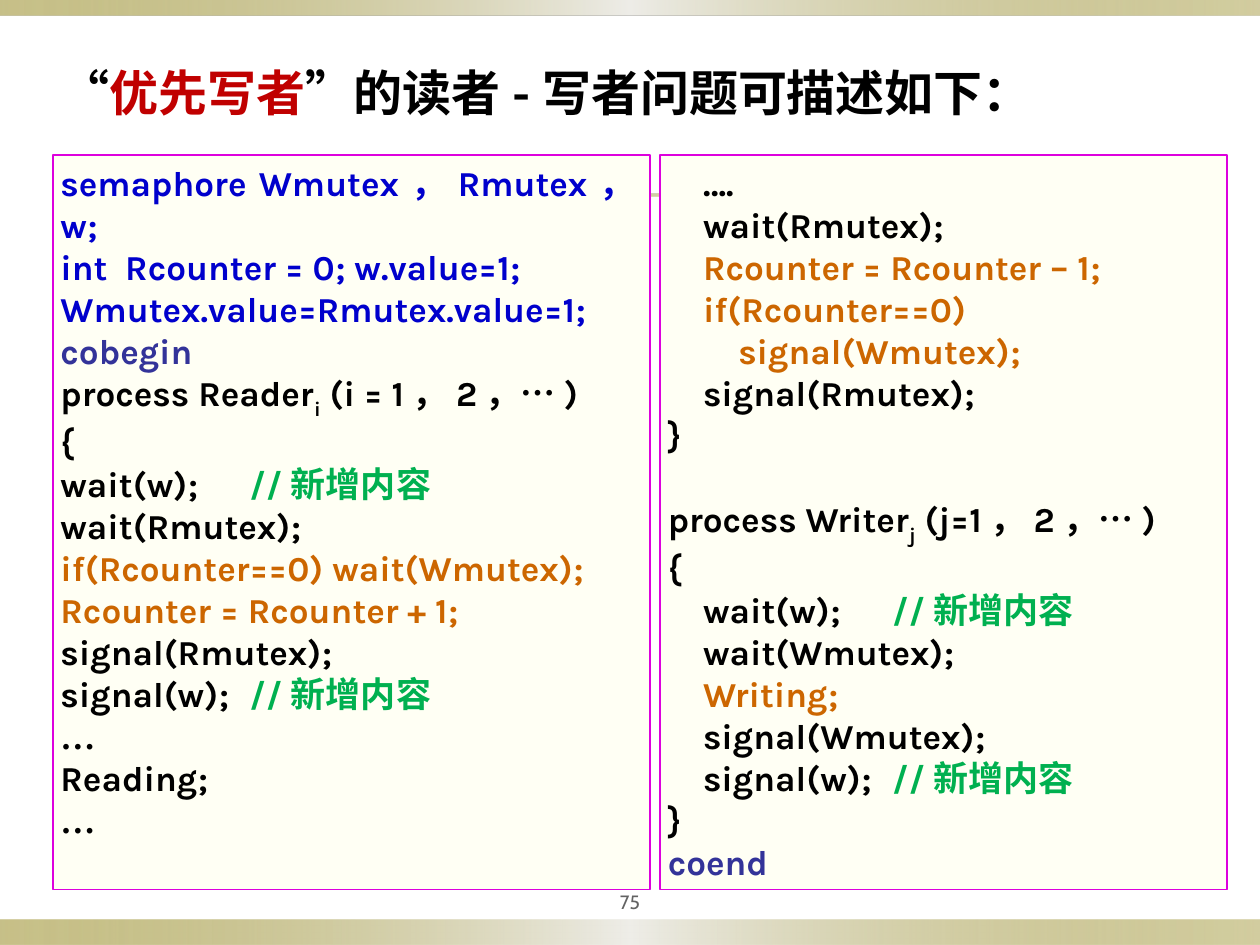
"""Build the slide on the writer-priority readers-writers problem."""
from lxml import etree
from pptx import Presentation, util as u
from pptx.dml.color import RGBColor
from pptx.enum import shapes, text
from pptx.oxml.ns import qn

W, H = 10, 7.5
C = {"olive": "918415", "pale": "EEEDE8", "sand": "DCD9CC", "number": "636363",
     "black": "000000", "red": "C00000", "blue": "0000CC", "navy": "333399",
     "orange": "CC6600", "green": "00B050", "panel": "FFFFF4", "border": "DD00DD"}
CJK, CODE, MARK = "Noto Sans CJK SC", "Karla", "Times New Roman"
INDENT, TAB, LINE_PT = 0.28, 2, 24

BAND = [(0, "olive", 50), (50, "pale", 100), (100, "olive", 40)]
RULE = [(0, "sand", 20), (50, "olive", 40), (100, "sand", 50)]
STRIPS = [((0, 7.3, W, 0.2), BAND), ((0, 0, W, 0.12), BAND), ((0.5, 1.54, 9, 0.02), RULE)]

TITLE = [("black", 0, ["“", ("优先写者", {"color": "red"}), "”的读者-写者问题可描述如下："])]
NUMBER = [("number", 0, ["75"])]

COMMA, DOTS, COMMA_DOTS = [(t, {"font": MARK}) for t in ("，", "…", "，…")]
NEW = ("//新增内容", {"color": "green"})


def process(name, index, start):
    """Return the runs of a process heading."""
    return ["process " + name, (index, {"base": -30000}), start, COMMA, "2", COMMA_DOTS, ")"]


READER = [
    ("blue", 0, ["semaphore Wmutex", COMMA, "Rmutex，w;"]),
    ("blue", 0, ["int  Rcounter = 0; w.value=1;"]),
    ("blue", 0, ["Wmutex.value=Rmutex.value=1;"]),
    ("navy", 0, ["cobegin"]),
    ("black", 0, process("Reader", "i", " (i = 1")),
    ("black", 0, ["{"]),
    ("black", 0, ["wait(w);\t", NEW]),
    ("black", 0, ["wait(Rmutex);"]),
    ("orange", 0, ["if(Rcounter==0) wait(Wmutex);"]),
    ("orange", 0, ["Rcounter = Rcounter + 1;"]),
    ("black", 0, ["signal(Rmutex);"]),
    ("black", 0, ["signal(w);\t", NEW]),
    ("black", 0, [DOTS]),
    ("black", 0, ["Reading;"]),
    ("black", 0, [DOTS]),
]
WRITER = [
    ("black", 1, ["…."]),
    ("black", 1, ["wait(Rmutex);"]),
    ("orange", 1, ["Rcounter = Rcounter – 1;"]),
    ("orange", 1, ["if(Rcounter==0)"]),
    ("orange", 2, ["signal(Wmutex);"]),
    ("black", 1, ["signal(Rmutex);"]),
    ("black", 0, ["}"]),
    ("black", 0, process("Writer", "j", " (j=1"), LINE_PT),
    ("black", 0, ["{"]),
    ("black", 1, ["wait(w);\t", NEW]),
    ("black", 1, ["wait(Wmutex);"]),
    ("orange", 1, ["Writing;"]),
    ("black", 1, ["signal(Wmutex);"]),
    ("black", 1, ["signal(w);\t", NEW]),
    ("black", 0, ["}"]),
    ("navy", 0, ["coend"]),
]
PANELS = [((0.42, 1.23, 4.74, 5.83), READER), ((5.24, 1.23, 4.5, 5.83), WRITER)]


def rgb(name):
    return RGBColor.from_string(C[name])


def add_rect(s, box):
    sp = s.shapes.add_shape(shapes.MSO_SHAPE.RECTANGLE, *map(u.Inches, box))
    sp.shadow.inherit = False
    return sp


def fill_gradient(sp, stops):
    sp.line.fill.background()
    sp.fill.gradient()
    sp.fill.gradient_angle = 0
    gs_list = sp._element.spPr.find(qn("a:gradFill")).find(qn("a:gsLst"))
    for gs in list(gs_list):
        gs_list.remove(gs)
    for pos, color, alpha in stops:
        gs = etree.SubElement(gs_list, qn("a:gs"), pos=str(pos * 1000))
        clr = etree.SubElement(gs, qn("a:srgbClr"), val=C[color])
        etree.SubElement(clr, qn("a:alpha"), val=str(alpha * 1000))


def write(sp, lines, font, size, bold, align, inset=0.06, anchor=text.MSO_ANCHOR.TOP):
    tf = sp.text_frame
    frame = {"word_wrap": True, "auto_size": text.MSO_AUTO_SIZE.NONE, "vertical_anchor": anchor,
             "margin_left": u.Inches(inset), "margin_right": u.Inches(inset),
             "margin_top": u.Inches(0.05), "margin_bottom": u.Inches(0.05)}
    for key, value in frame.items():
        setattr(tf, key, value)
    for i, (color, level, runs, *before) in enumerate(lines):
        p = tf.add_paragraph() if i else tf.paragraphs[0]
        p.alignment = align
        if before:
            p.space_before = u.Pt(before[0])
        pPr = p._p.get_or_add_pPr()
        pPr.set("marL", str(u.Inches(INDENT * level)))
        pPr.set("indent", "0")
        if any("\t" in run for run in runs):
            tabs = etree.SubElement(pPr, qn("a:tabLst"))
            etree.SubElement(tabs, qn("a:tab"), pos=str(u.Inches(TAB)), algn="l")
        for run in runs:
            words, fmt = (run, {}) if isinstance(run, str) else run
            r = p.add_run()
            r.text = words
            for key, value in {"name": fmt.get("font", font), "size": u.Pt(size), "bold": bold}.items():
                setattr(r.font, key, value)
            r.font.color.rgb = rgb(fmt.get("color", color))
            rPr = r._r.get_or_add_rPr()
            if "base" in fmt:
                rPr.set("baseline", str(fmt["base"]))
            rPr.find(qn("a:latin")).addnext(etree.Element(qn("a:ea"), typeface=CJK))


prs = Presentation()
prs.slide_width, prs.slide_height = u.Inches(W), u.Inches(H)
s = prs.slides.add_slide(prs.slide_layouts[6])

for box, stops in STRIPS:
    fill_gradient(add_rect(s, box), stops)

number = s.shapes.add_textbox(*map(u.Inches, (4.5, 7, 1, 0.31)))
write(number, NUMBER, "Cabin", 11, False, text.PP_ALIGN.CENTER, 0.05, text.MSO_ANCHOR.MIDDLE)
title = s.shapes.add_textbox(*map(u.Inches, (0.42, 0.45, 9.23, 0.57)))
write(title, TITLE, CJK, 28, True, text.PP_ALIGN.LEFT)

for box, lines in PANELS:
    panel = add_rect(s, box)
    panel.fill.solid()
    panel.fill.fore_color.rgb = rgb("panel")
    panel.line.color.rgb = rgb("border")
    panel.line.width = u.Pt(1)
    write(panel, lines, CODE, 20, True, text.PP_ALIGN.JUSTIFY)

prs.save("out.pptx")
